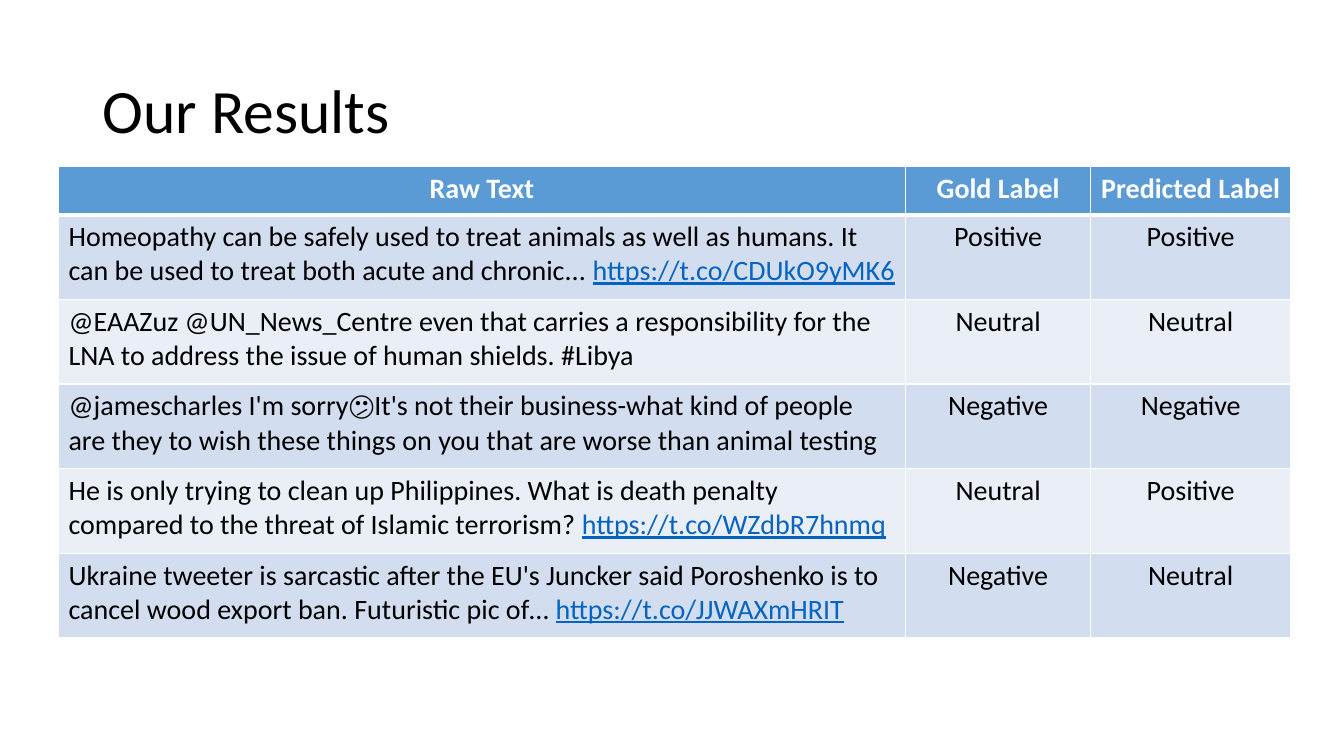
from dataclasses import dataclass

from lxml import etree
from pptx import Presentation
from pptx import util as u
from pptx.dml import color
from pptx.enum import text
from pptx.oxml import ns

FONT = "Calibri"
COLORS = {
    "header": "5B9BD5",
    "odd": "D2DEEF",
    "even": "EAEFF7",
    "border": "FFFFFF",
    "heading": "FFFFFF",
    "ink": "000000",
    "link": "0563C1",
}
COLUMN_WIDTHS = (8.4, 1.84, 1.98)
HEADER_HEIGHT = 0.48
ROW_HEIGHT = 0.84
HEADINGS = ("Raw Text", "Gold Label", "Predicted Label")


@dataclass
class Tweet:
    words: str
    gold: str
    predicted: str
    link: str = ""


TWEETS = (
    Tweet("Homeopathy can be safely used to treat animals as well as humans. "
          "It can be used to treat both acute and chronic... ",
          "Positive", "Positive", "https://t.co/CDUkO9yMK6"),
    Tweet("@EAAZuz @UN_News_Centre even that carries a responsibility for the "
          "LNA to address the issue of human shields. #Libya",
          "Neutral", "Neutral"),
    Tweet("@jamescharles I'm sorry😕It's not their business-what kind of people "
          "are they to wish these things on you that are worse than animal testing",
          "Negative", "Negative"),
    Tweet("He is only trying to clean up Philippines. What is death penalty "
          "compared to the threat of Islamic terrorism? ",
          "Neutral", "Positive", "https://t.co/WZdbR7hnmq"),
    Tweet("Ukraine tweeter is sarcastic after the EU's Juncker said Poroshenko is to "
          "cancel wood export ban. Futuristic pic of… ",
          "Negative", "Neutral", "https://t.co/JJWAXmHRIT"),
)


def format_span(span, size: int, shade: str, bold: bool = False) -> None:
    span.font.name = FONT
    span.font.size = u.Pt(size)
    span.font.bold = bold
    span.font.color.rgb = color.RGBColor.from_string(COLORS[shade])


def add_borders(cell, top: int, bottom: int) -> None:
    properties = cell._tc.get_or_add_tcPr()
    widths = {"a:lnL": 1, "a:lnR": 1, "a:lnT": top, "a:lnB": bottom}
    for position, (side, width) in enumerate(widths.items()):
        line = etree.Element(ns.qn(side), w=str(u.Pt(width)))
        fill = etree.SubElement(line, ns.qn("a:solidFill"))
        etree.SubElement(fill, ns.qn("a:srgbClr"), val=COLORS["border"])
        properties.insert(position, line)


def fill_cell(cell, words: str, row: int, centred: bool, link: str = "") -> None:
    header = row == 0
    shade = "header" if header else ("even", "odd")[row % 2]
    cell.fill.solid()
    cell.fill.fore_color.rgb = color.RGBColor.from_string(COLORS[shade])
    add_borders(cell, top=3 if row == 1 else 1, bottom=3 if header else 1)
    cell.text_frame.text = words
    para = cell.text_frame.paragraphs[0]
    para.alignment = text.PP_ALIGN.CENTER if centred else text.PP_ALIGN.LEFT
    format_span(para.runs[0], 20, "heading" if header else "ink", bold=header)
    if link:
        span = para.add_run()
        span.text = link
        format_span(span, 20, "link")
        span.font.underline = True


def add_title(page, words: str) -> None:
    box = page.shapes.title
    box.left, box.top = u.Inches(0.92), u.Inches(0.4)
    box.width, box.height = u.Inches(11.5), u.Inches(1.45)
    box.text_frame.text = words
    box.text_frame.vertical_anchor = text.MSO_ANCHOR.MIDDLE
    para = box.text_frame.paragraphs[0]
    para.alignment = text.PP_ALIGN.LEFT
    para.line_spacing = 0.9
    format_span(para.runs[0], 44, "ink")


def add_results(page) -> None:
    heights = [HEADER_HEIGHT] + [ROW_HEIGHT] * len(TWEETS)
    table = page.shapes.add_table(
        len(heights), len(COLUMN_WIDTHS), u.Inches(0.58), u.Inches(1.65),
        u.Inches(sum(COLUMN_WIDTHS)), u.Inches(sum(heights))).table
    for column, width in zip(table.columns, COLUMN_WIDTHS):
        column.width = u.Inches(width)
    for row, height in zip(table.rows, heights):
        row.height = u.Inches(height)
    for column, heading in enumerate(HEADINGS):
        fill_cell(table.cell(0, column), heading, 0, centred=True)
    for row, tweet in enumerate(TWEETS, start=1):
        fill_cell(table.cell(row, 0), tweet.words, row, centred=False, link=tweet.link)
        for column, label in enumerate((tweet.gold, tweet.predicted), start=1):
            fill_cell(table.cell(row, column), label, row, centred=True)


deck = Presentation()
deck.slide_width, deck.slide_height = u.Inches(13.33), u.Inches(7.5)
page = deck.slides.add_slide(deck.slide_layouts.get_by_name("Title Only"))
add_title(page, "Our Results")
add_results(page)
deck.save("out.pptx")
